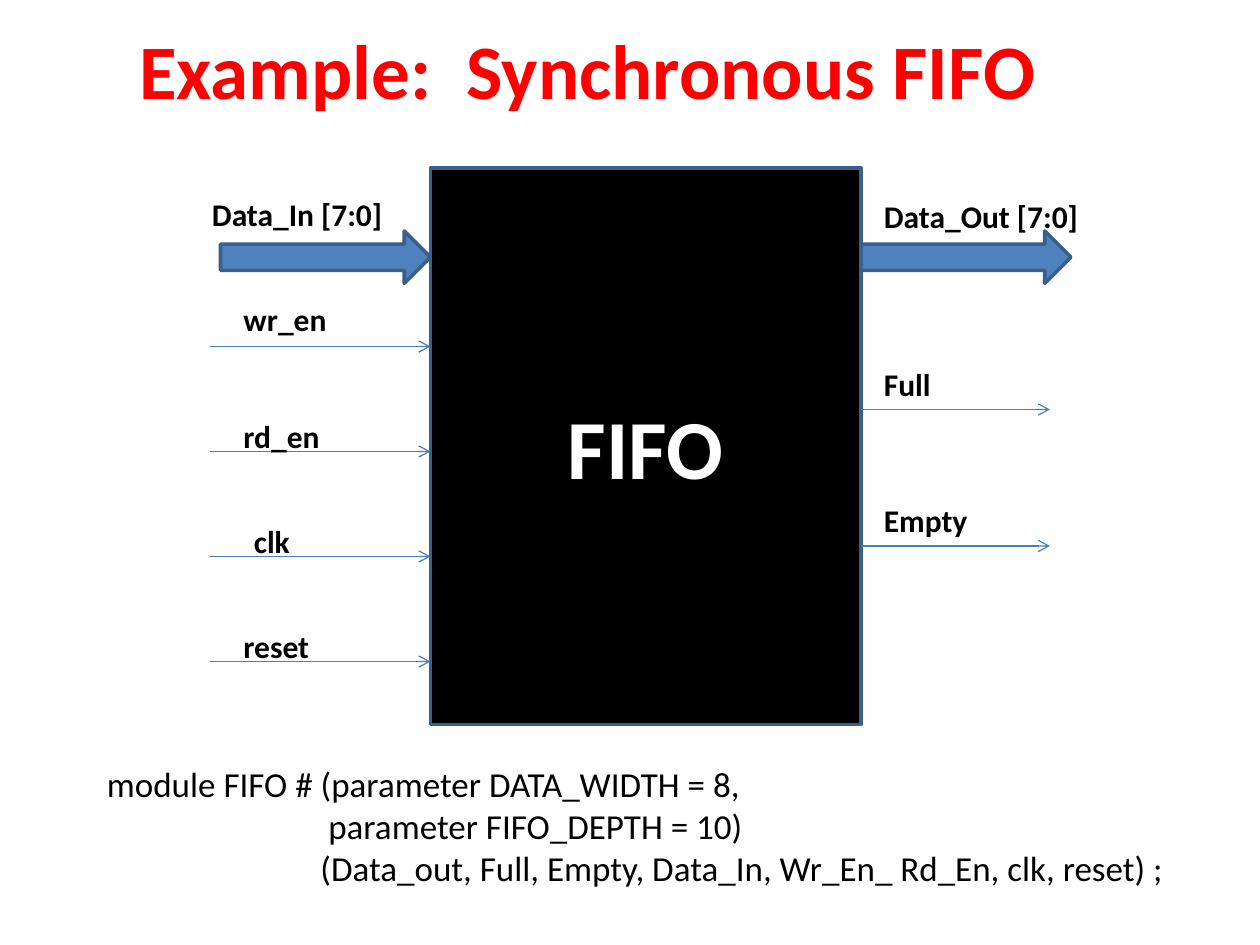
import pptx
import pptx.util
import pptx.dml.color
import pptx.enum.shapes
import pptx.enum.text
import pptx.oxml.ns
from lxml import etree

Pt = pptx.util.Pt
SHAPES = pptx.enum.shapes.MSO_SHAPE
ANCHOR = pptx.enum.text.MSO_ANCHOR
ALIGN = pptx.enum.text.PP_ALIGN
COLORS = {
    "title": "FF0000",
    "text": "000000",
    "block": "000000",
    "block_text": "FFFFFF",
    "bus": "4F81BD",
    "outline": "3A5F8C",
    "signal": "4B7EBC",
}


def rgb(name):
    """Return the named colour."""
    return pptx.dml.color.RGBColor.from_string(COLORS[name])


class Diagram:
    """Style and drawing methods for one slide."""

    font = "Calibri"

    def __init__(self, slide):
        """Keep the slide to draw on."""
        self.slide = slide

    def set_lines(self, frame, lines, size, color, bold=False, align=ALIGN.LEFT):
        """Fill a text frame with one paragraph per line."""
        for number, line in enumerate(lines):
            paragraph = frame.paragraphs[0] if number == 0 else frame.add_paragraph()
            paragraph.text = line
            paragraph.alignment = align
            paragraph.font.name = self.font
            paragraph.font.size = Pt(size)
            paragraph.font.bold = bold
            paragraph.font.color.rgb = rgb(color)

    def text(self, box, lines, size, color="text", bold=False,
             align=ALIGN.LEFT, anchor=ANCHOR.TOP):
        """Add a wrapping text box and return its frame."""
        frame = self.slide.shapes.add_textbox(*map(Pt, box)).text_frame
        frame.word_wrap = True
        frame.vertical_anchor = anchor
        self.set_lines(frame, lines, size, color, bold, align)
        return frame

    def label(self, left, top, name):
        """Add a bold port label."""
        self.text((left, top, 126, 28.8), [name], 18, bold=True)

    def shape(self, kind, box, fill):
        """Add an outlined preset shape."""
        shape = self.slide.shapes.add_shape(kind, *map(Pt, box))
        shape.shadow.inherit = False
        shape.fill.solid()
        shape.fill.fore_color.rgb = rgb(fill)
        shape.line.color.rgb = rgb("outline")
        shape.line.width = Pt(2)
        return shape

    def signal(self, left, right, y):
        """Add a thin horizontal arrow pointing right."""
        wire = self.slide.shapes.add_connector(
            pptx.enum.shapes.MSO_CONNECTOR.STRAIGHT, Pt(left), Pt(y), Pt(right), Pt(y))
        wire.line.color.rgb = rgb("signal")
        wire.line.width = Pt(0.75)
        qn = pptx.oxml.ns.qn
        properties = wire._element.spPr
        etree.SubElement(properties.get_or_add_ln(), qn("a:tailEnd"), type="arrow")
        etree.SubElement(properties, qn("a:effectLst"))


def indent(paragraph, points):
    """Set the left margin of a paragraph."""
    paragraph._p.get_or_add_pPr().set("marL", str(int(Pt(points))))


def main():
    """Build the FIFO slide."""
    deck = pptx.Presentation()
    deck.slide_width, deck.slide_height = Pt(720), Pt(540)
    diagram = Diagram(deck.slides.add_slide(deck.slide_layouts[6]))

    diagram.text((0, 0, 672, 78), ["Example:  Synchronous FIFO"], 44, "title",
                 True, ALIGN.CENTER, ANCHOR.MIDDLE)

    block_left, block_right = 246, 492
    fifo = diagram.shape(
        SHAPES.RECTANGLE, (block_left, 96, block_right - block_left, 318), "block")
    fifo.text_frame.vertical_anchor = ANCHOR.MIDDLE
    diagram.set_lines(fifo.text_frame, ["FIFO"], 48, "block_text", True, ALIGN.CENTER)

    for bus_left in (block_left - 120, block_right):
        diagram.shape(SHAPES.RIGHT_ARROW, (bus_left, 132, 120, 30), "bus")
    diagram.label(114, 108, "Data_In [7:0]")
    diagram.label(498, 109, "Data_Out [7:0]")

    inputs = [("wr_en", 132, 168), ("rd_en", 132, 235),
              ("clk", 138, 295), ("reset", 132, 355)]
    for row, (name, left, top) in enumerate(inputs):
        diagram.signal(120, block_left, 198 + 60 * row)
        diagram.label(left, top, name)

    for name, y in (("Full", 234), ("Empty", 312)):
        diagram.signal(block_right, 600, y)
        diagram.label(498, y - 29, name)

    module = diagram.text((54, 432, 630, 80), [
        "module FIFO # (parameter DATA_WIDTH = 8,",
        "parameter FIFO_DEPTH = 10)",
        "(Data_out, Full, Empty, Data_In, Wr_En_ Rd_En, clk, reset) ;",
    ], 20)
    for paragraph, margin in zip(module.paragraphs[1:], (126.5, 122)):
        indent(paragraph, margin)

    deck.save("out.pptx")


main()
